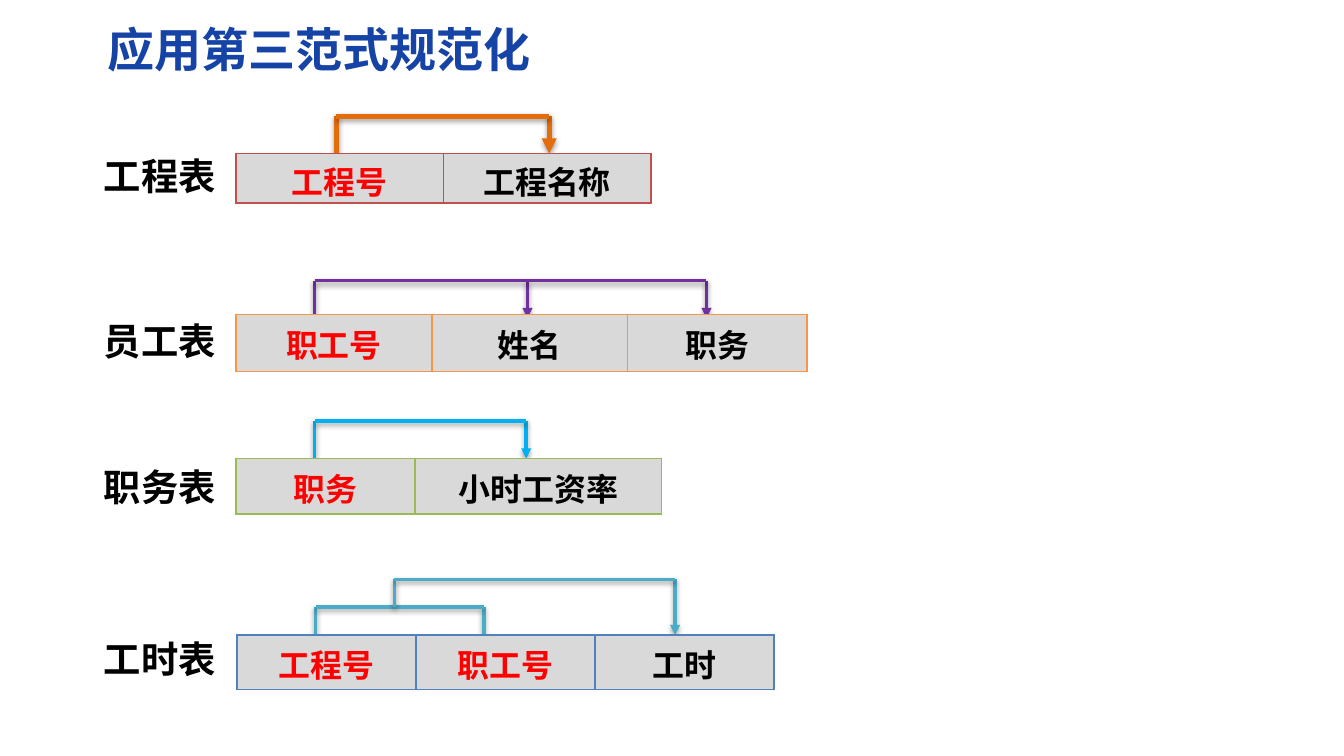
from dataclasses import dataclass

import lxml.etree
import pptx
import pptx.dml.color
import pptx.enum.shapes
import pptx.enum.text
import pptx.oxml
import pptx.oxml.ns
import pptx.util

Inches = pptx.util.Inches
qn = pptx.oxml.ns.qn


@dataclass(frozen=True)
class Theme:
    font: str = "Noto Sans CJK SC"
    title: str = "1543A6"
    text: str = "000000"
    key: str = "FF0000"
    cell: str = "D9D9D9"
    title_size: float = 28
    label_size: float = 22.2
    cell_size: float = 19
    border_width: float = 1


@dataclass(frozen=True)
class Leg:
    x: float
    bottom: float
    arrow: bool = False


@dataclass(frozen=True)
class Bracket:
    top: float
    legs: tuple[Leg, ...]


@dataclass(frozen=True)
class Relation:
    label: str
    label_top: float
    left: float
    top: float
    height: float
    fields: tuple[str, ...]
    widths: tuple[float, ...]
    key_count: int
    border: str
    link: str
    link_width: float
    brackets: tuple[Bracket, ...]
    margins: tuple[float, float] = (0.05, 0.05)


THEME = Theme()
LABEL_LEFT, LABEL_WIDTH, LABEL_HEIGHT = 0.76, 1.14, 0.47

RELATIONS = (
    Relation("工程表", 1.22, 1.95, 1.27, 0.41, ("工程号", "工程名称"), (1.715, 1.715),
             1, "C0504D", "E46C0A", 3,
             (Bracket(0.96, (Leg(2.78, 1.27), Leg(4.54, 1.27, True))),), (0.03, 0)),
    Relation("员工表", 2.58, 1.95, 2.6, 0.47, ("职工号", "姓名", "职务"), (1.62, 1.62, 1.48),
             1, "F79646", "7030A0", 2,
             (Bracket(2.32, (Leg(2.6, 2.63), Leg(4.36, 2.63, True), Leg(5.84, 2.63, True))),)),
    Relation("职务表", 3.79, 1.95, 3.79, 0.46, ("职务", "小时工资率"), (1.48, 2.04),
             1, "9BBB59", "00B0F0", 2,
             (Bracket(3.48, (Leg(2.6, 3.79), Leg(4.35, 3.79, True))),)),
    Relation("工时表", 5.21, 1.96, 5.25, 0.45, ("工程号", "职工号", "工时"), (1.48, 1.48, 1.48),
             2, "4F81BD", "4BACC6", 2,
             (Bracket(5.02, (Leg(2.61, 5.25), Leg(4, 5.25))),
              Bracket(4.79, (Leg(3.26, 5.02), Leg(5.58, 5.25, True))))),
)


def rgb(color: str) -> pptx.dml.color.RGBColor:
    return pptx.dml.color.RGBColor.from_string(color)


def style_text(p, size: float, color: str) -> None:
    font = p.font
    font.name, font.size, font.bold = THEME.font, pptx.util.Pt(size), True
    font.color.rgb = rgb(color)
    ea = lxml.etree.SubElement(font._element, qn("a:ea"))
    ea.set("typeface", THEME.font)


def add_text(s, text: str, box: tuple[float, float, float, float],
             size: float, color: str, wrap: bool = False) -> None:
    tf = s.shapes.add_textbox(*map(Inches, box)).text_frame
    tf.word_wrap = wrap
    tf.vertical_anchor = pptx.enum.text.MSO_ANCHOR.MIDDLE
    tf.margin_top = tf.margin_bottom = 0
    p = tf.paragraphs[0]
    p.text = text
    style_text(p, size, color)


def add_line(s, start: tuple[float, float], end: tuple[float, float],
             color: str, width: float, arrow: bool = False) -> None:
    line = s.shapes.add_connector(pptx.enum.shapes.MSO_CONNECTOR.STRAIGHT,
                                  *map(Inches, start + end))
    line.line.color.rgb = rgb(color)
    line.line.width = pptx.util.Pt(width)
    if arrow:
        tail = lxml.etree.SubElement(line.line._get_or_add_ln(), qn("a:tailEnd"))
        tail.set("type", "triangle")
    effects = lxml.etree.SubElement(line._element.spPr, qn("a:effectLst"))
    shadow = lxml.etree.SubElement(effects, qn("a:outerShdw"), blurRad="40000",
                                   dist="20000", dir="5400000", rotWithShape="0")
    shade = lxml.etree.SubElement(shadow, qn("a:srgbClr"), val="000000")
    lxml.etree.SubElement(shade, qn("a:alpha"), val="38000")


def add_bracket(s, bracket: Bracket, color: str, width: float) -> None:
    for leg in bracket.legs:
        add_line(s, (leg.x, bracket.top), (leg.x, leg.bottom), color, width, leg.arrow)
    first, last = bracket.legs[0], bracket.legs[-1]
    add_line(s, (first.x, bracket.top), (last.x, bracket.top), color, width)


def set_borders(cell, color: str) -> None:
    tc_pr = cell._tc.get_or_add_tcPr()
    for i, side in enumerate(("lnL", "lnR", "lnT", "lnB")):
        ln = pptx.oxml.parse_xml(
            f'<a:{side} {pptx.oxml.ns.nsdecls("a")} w="{pptx.util.Pt(THEME.border_width)}">'
            f'<a:solidFill><a:srgbClr val="{color}"/></a:solidFill></a:{side}>')
        tc_pr.insert(i, ln)


def add_relation_table(s, rel: Relation) -> None:
    box = (rel.left, rel.top, sum(rel.widths), rel.height)
    table = s.shapes.add_table(1, len(rel.fields), *map(Inches, box)).table
    table.first_row = table.horz_banding = False
    for i, (field, width) in enumerate(zip(rel.fields, rel.widths)):
        table.columns[i].width = Inches(width)
        cell = table.cell(0, i)
        cell.fill.solid()
        cell.fill.fore_color.rgb = rgb(THEME.cell)
        cell.vertical_anchor = pptx.enum.text.MSO_ANCHOR.MIDDLE
        cell.margin_left = cell.margin_right = Inches(0.11)
        cell.margin_top, cell.margin_bottom = map(Inches, rel.margins)
        set_borders(cell, rel.border)
        p = cell.text_frame.paragraphs[0]
        p.text = field
        p.alignment = pptx.enum.text.PP_ALIGN.CENTER
        style_text(p, THEME.cell_size, THEME.key if i < rel.key_count else THEME.text)


def add_relation(s, rel: Relation) -> None:
    for bracket in rel.brackets:
        add_bracket(s, bracket, rel.link, rel.link_width)
    add_relation_table(s, rel)
    add_text(s, rel.label, (LABEL_LEFT, rel.label_top, LABEL_WIDTH, LABEL_HEIGHT),
             THEME.label_size, THEME.text)


def main() -> None:
    prs = pptx.Presentation()
    prs.slide_width, prs.slide_height = Inches(11.11), Inches(6.25)
    s = prs.slides.add_slide(prs.slide_layouts[6])
    add_text(s, "应用第三范式规范化", (0.79, 0.12, 9.81, 0.57),
             THEME.title_size, THEME.title, wrap=True)
    for rel in RELATIONS:
        add_relation(s, rel)
    prs.save("out.pptx")


if __name__ == "__main__":
    main()
